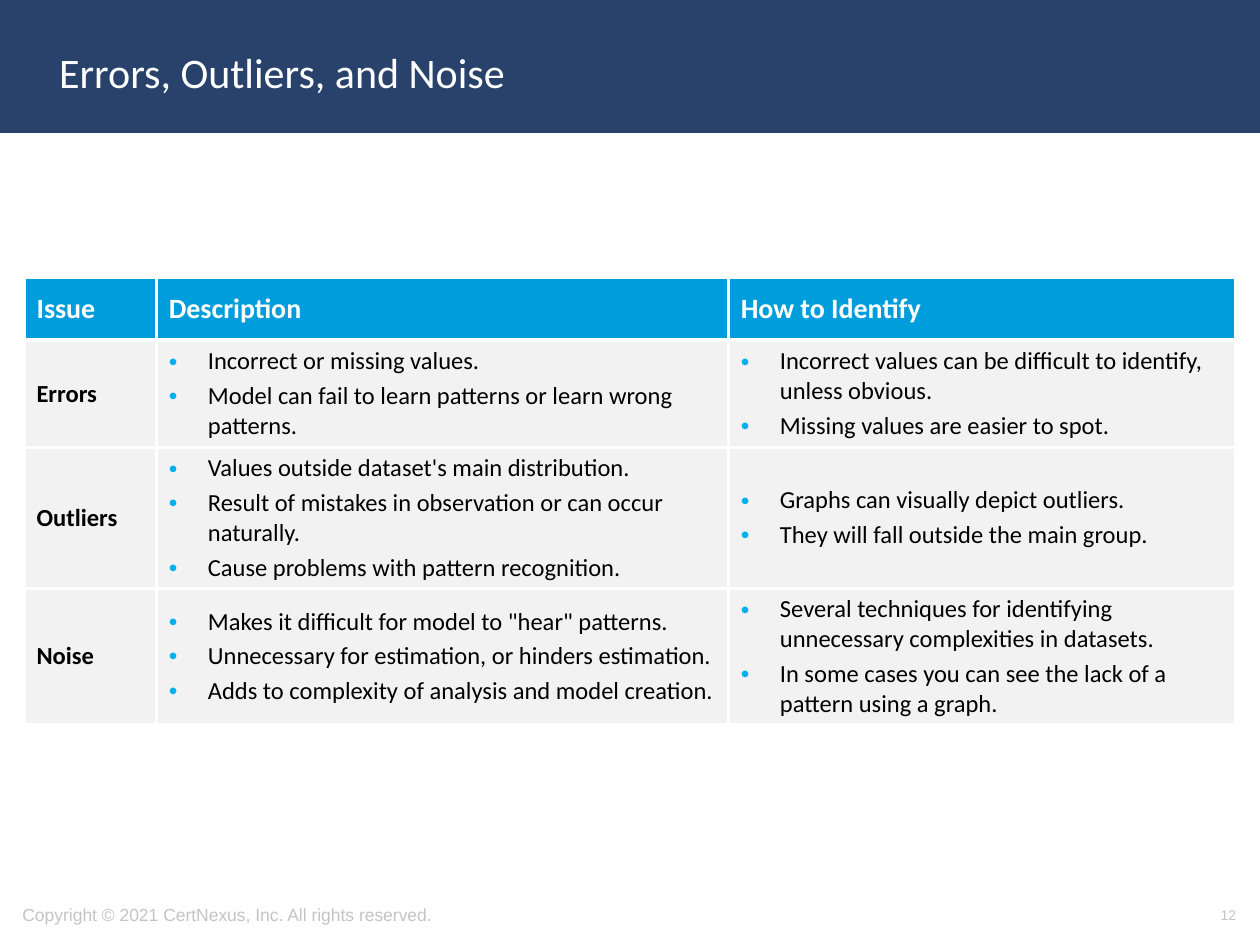
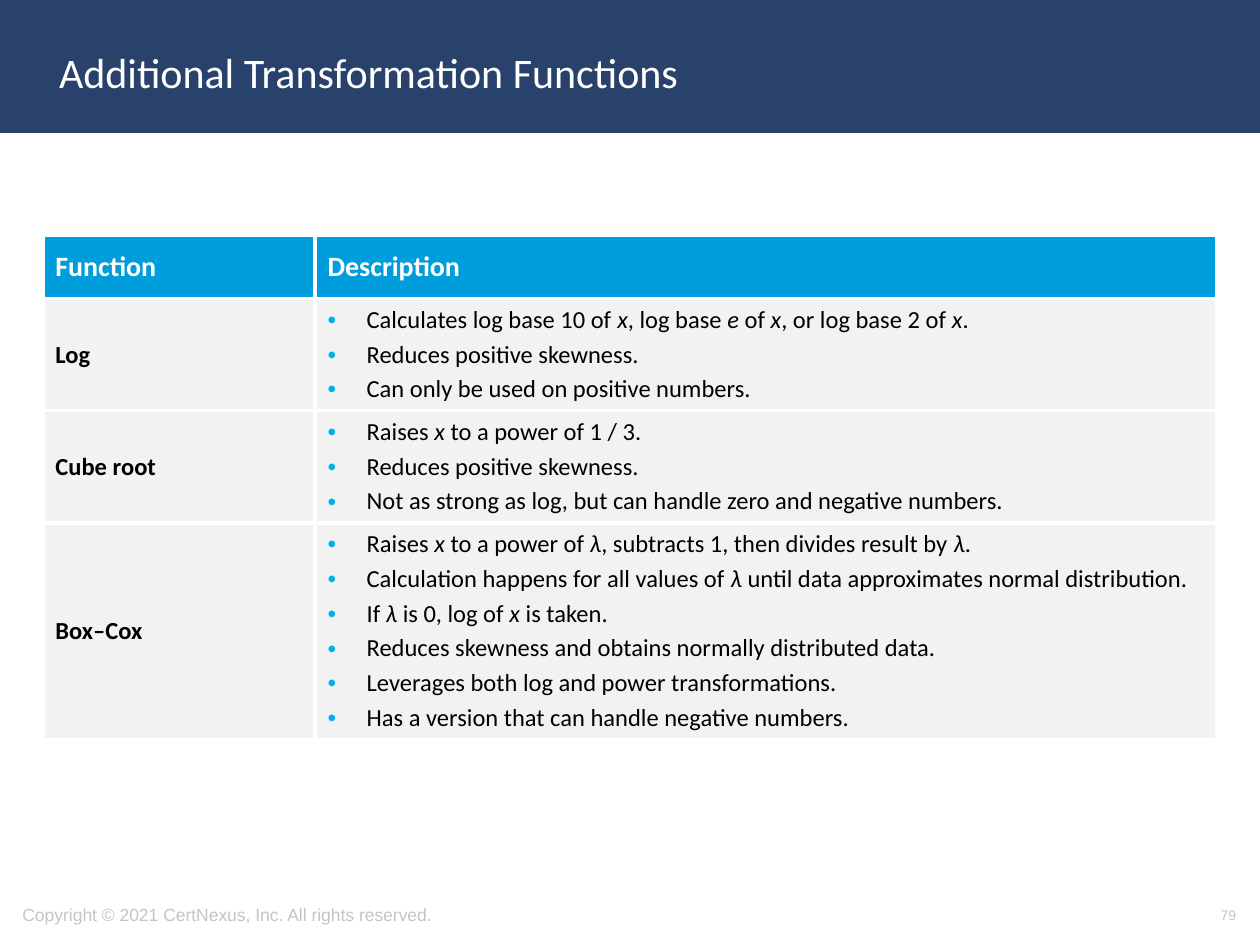
from lxml.etree import SubElement
from pptx import Presentation
from pptx.dml.color import RGBColor
from pptx.enum.shapes import MSO_SHAPE
from pptx.enum.text import MSO_ANCHOR, PP_ALIGN
from pptx.oxml.ns import qn
from pptx.util import Inches, Pt

NAVY = RGBColor(0x28, 0x42, 0x6C)
BLUE = RGBColor(0x00, 0x9D, 0xDC)
BULLET_BLUE = RGBColor(0x00, 0xB0, 0xF0)
PALE = RGBColor(0xF2, 0xF2, 0xF2)
GREY = RGBColor(0xC4, 0xC4, 0xC4)
WHITE = RGBColor(0xFF, 0xFF, 0xFF)
BLACK = RGBColor(0x00, 0x00, 0x00)

TITLE = dict(name="Calibri", size=Pt(24), color=WHITE)
HEADING = dict(name="Calibri", size=Pt(16), color=WHITE, bold=True)
LABEL = dict(name="Calibri", size=Pt(14), color=BLACK, bold=True)
BODY = dict(LABEL, bold=False)
FOOTER = dict(name="Arial", size=Pt(10), color=GREY)
PAGE_NUMBER = dict(FOOTER, size=Pt(8))

COPYRIGHT = "Copyright © 2021 CertNexus, Inc. All rights reserved."
HEADER_HEIGHT = 0.5
BULLET_INDENT = Inches(0.31)
BULLET_GAP = Pt(2.8)
RULE_WIDTH = Pt(2.25)


def add_solid_fill(parent, color):
    fill = SubElement(parent, qn("a:solidFill"))
    SubElement(fill, qn("a:srgbClr"), val=str(color))


class Deck:
    """Holds the shared style and the slide being built."""

    def __init__(self):
        self.prs = Presentation()
        self.prs.slide_width, self.prs.slide_height = Inches(10), Inches(7.5)
        self.slide = None

    def add_slide(self, title, number):
        self.slide = self.prs.slides.add_slide(self.prs.slide_layouts[6])
        self.band()
        self.text(COPYRIGHT, (0.08, 7.06, 5.27, 0.4), FOOTER)
        self.text(str(number), (7.58, 7.06, 2.33, 0.4), PAGE_NUMBER, PP_ALIGN.RIGHT)
        self.text(title, (0.37, 0.11, 8.62, 0.92), TITLE)

    def band(self):
        band = self.slide.shapes.add_shape(
            MSO_SHAPE.RECTANGLE, 0, 0, self.prs.slide_width, Inches(1.04))
        band.shadow.inherit = False
        band.fill.solid()
        band.fill.fore_color.rgb = NAVY
        band.line.color.rgb = NAVY
        band.line.width = Pt(2)

    def text(self, words, box, style, align=PP_ALIGN.LEFT):
        frame = self.slide.shapes.add_textbox(*map(Inches, box)).text_frame
        frame.word_wrap = True
        frame.vertical_anchor = MSO_ANCHOR.MIDDLE
        frame.paragraphs[0].alignment = align
        self.add_runs(frame.paragraphs[0], words, style)

    def add_runs(self, paragraph, words, style):
        """Add the runs of a paragraph; words between asterisks are italic."""
        for i, part in enumerate(words.split("*")):
            if not part:
                continue
            run = paragraph.add_run()
            run.text = part
            for key, value in dict(style, italic=i % 2 == 1).items():
                if key == "color":
                    run.font.color.rgb = value
                else:
                    setattr(run.font, key, value)

    def bullet(self, paragraph):
        props = paragraph._p.get_or_add_pPr()
        props.set("marL", str(BULLET_INDENT))
        props.set("indent", str(-BULLET_INDENT))
        color = SubElement(props, qn("a:buClr"))
        SubElement(color, qn("a:srgbClr"), val=str(BULLET_BLUE))
        SubElement(props, qn("a:buFont"), typeface="Arial")
        SubElement(props, qn("a:buChar"), char="•")

    def cell(self, cell, content, style, fill):
        """Fill a cell with a plain string or a list of bullets."""
        props = cell._tc.get_or_add_tcPr()
        for side in ("lnL", "lnR", "lnT", "lnB"):
            add_solid_fill(SubElement(props, qn(f"a:{side}"), w=str(RULE_WIDTH)), WHITE)
        cell.fill.solid()
        cell.fill.fore_color.rgb = fill
        cell.vertical_anchor = MSO_ANCHOR.MIDDLE
        frame = cell.text_frame
        if isinstance(content, str):
            self.add_runs(frame.paragraphs[0], content, style)
            return
        for i, words in enumerate(content):
            paragraph = frame.add_paragraph() if i else frame.paragraphs[0]
            self.bullet(paragraph)
            if i:
                paragraph.space_before = BULLET_GAP
            self.add_runs(paragraph, words, style)

    def table(self, left, top, widths, heights, headings, rows):
        heights = [HEADER_HEIGHT, *heights]
        table = self.slide.shapes.add_table(
            len(heights), len(widths), Inches(left), Inches(top),
            Inches(sum(widths)), Inches(sum(heights))).table
        table.horz_banding = False
        for column, width in zip(table.columns, widths):
            column.width = Inches(width)
        for row, height in zip(table.rows, heights):
            row.height = Inches(height)
        for c, heading in enumerate(headings):
            self.cell(table.cell(0, c), heading, HEADING, BLUE)
        for r, row in enumerate(rows, start=1):
            for c, content in enumerate(row):
                self.cell(table.cell(r, c), content, BODY if c else LABEL, PALE)


def main():
    deck = Deck()

    # Data issues
    deck.add_slide("Errors, Outliers, and Noise", 12)
    deck.table(
        0.19, 2.2, [1.05, 4.54, 4.03], [0.85, 1.12, 1.08],
        ["Issue", "Description", "How to Identify"],
        [
            ("Errors",
             ["Incorrect or missing values.",
              "Model can fail to learn patterns or learn wrong patterns."],
             ["Incorrect values can be difficult to identify, unless obvious.",
              "Missing values are easier to spot."]),
            ("Outliers",
             ["Values outside dataset's main distribution.",
              "Result of mistakes in observation or can occur naturally.",
              "Cause problems with pattern recognition."],
             ["Graphs can visually depict outliers.",
              "They will fall outside the main group."]),
            ("Noise",
             ['Makes it difficult for model to "hear" patterns.',
              "Unnecessary for estimation, or hinders estimation.",
              "Adds to complexity of analysis and model creation."],
             ["Several techniques for identifying unnecessary complexities in datasets.",
              "In some cases you can see the lack of a pattern using a graph."]),
        ])

    # Transformation functions
    deck.add_slide("Additional Transformation Functions", 79)
    deck.table(
        0.34, 1.87, [2.16, 7.16], [0.89, 0.89, 1.72],
        ["Function", "Description"],
        [
            ("Log",
             ["Calculates log base 10 of *x*, log base *e* of *x*, or log base 2 of *x*.",
              "Reduces positive skewness.",
              "Can only be used on positive numbers."]),
            ("Cube root",
             ["Raises *x* to a power of 1 / 3.",
              "Reduces positive skewness.",
              "Not as strong as log, but can handle zero and negative numbers."]),
            ("Box–Cox",
             ["Raises *x* to a power of *λ*, subtracts 1, then divides result by *λ*.",
              "Calculation happens for all values of *λ* until data approximates "
              "normal distribution.",
              "If *λ* is 0, log of *x* is taken.",
              "Reduces skewness and obtains normally distributed data.",
              "Leverages both log and power transformations.",
              "Has a version that can handle negative numbers."]),
        ])

    deck.prs.save("out.pptx")


if __name__ == "__main__":
    main()
